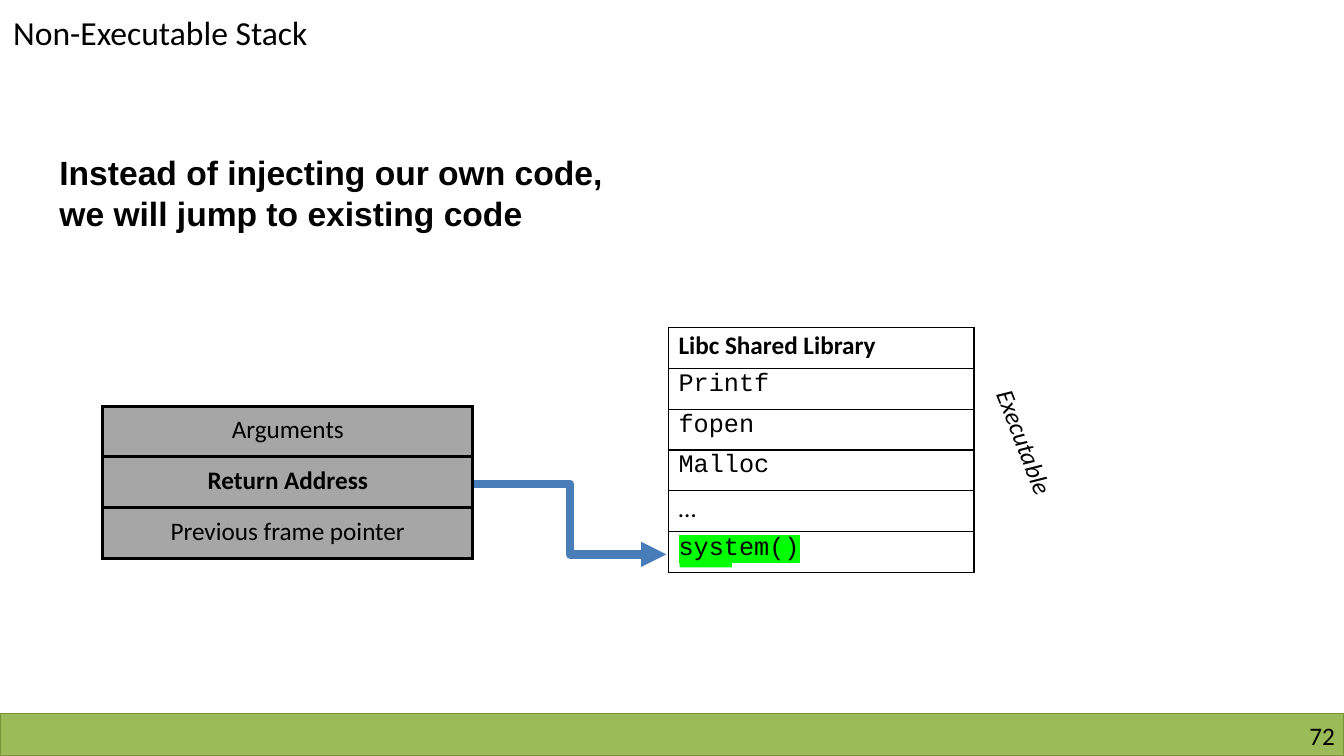
from lxml import etree
from pptx import Presentation
from pptx.dml.color import RGBColor as Rgb
from pptx.enum.shapes import MSO_CONNECTOR as Conn, MSO_SHAPE as Shape
from pptx.enum.text import MSO_ANCHOR as Anchor, PP_ALIGN as Align
from pptx.oxml.ns import qn
from pptx.util import Inches, Pt

HUES = {
    "ink": "000000", "gray": "A6A6A6", "blue": "497DBA", "lime": "00FF00",
    "green": "9BBB59", "edge": "77933C",
}


def hue(name):
    """Return the named colour."""
    return Rgb.from_string(HUES[name])


def place(box):
    """Turn a box in inches into lengths."""
    return [Inches(n) for n in box]


def write(frame, text, size=18, font="Calibri", bold=False, slant=False,
          align=Align.LEFT, mark=None):
    """Fill a text frame with one formatted run."""
    para = frame.paragraphs[0]
    para.alignment = align
    run = para.add_run()
    run.text = text
    face = run.font
    face.size, face.name, face.bold, face.italic = Pt(size), font, bold, slant
    face.color.rgb = hue("ink")
    if mark:
        glow = etree.Element(qn("a:highlight"))
        etree.SubElement(glow, qn("a:srgbClr"), val=HUES[mark])
        run._r.rPr.find(qn("a:latin")).addprevious(glow)


def pad(item, left=0, top=0):
    """Set the inner margins of a cell or text frame."""
    item.margin_left, item.margin_top = Inches(left), Inches(top)
    item.margin_right = item.margin_bottom = 0


def label(slide, box, text, turn=0, left=0, top=0, **form):
    """Place a wrapped text box."""
    area = slide.shapes.add_textbox(*place(box))
    area.rotation = turn
    frame = area.text_frame
    frame.word_wrap = True
    pad(frame, left, top)
    write(frame, text, **form)


def block(slide, box, fill, line=None):
    """Draw a filled rectangle."""
    rect = slide.shapes.add_shape(Shape.RECTANGLE, *place(box))
    rect.shadow.inherit = False
    rect.fill.solid()
    rect.fill.fore_color.rgb = hue(fill)
    if line:
        rect.line.color.rgb = hue(line)
        rect.line.width = Pt(1)
    else:
        rect.line.fill.background()


def rule(cell, wide):
    """Draw all four borders of a cell."""
    props = cell._tc.get_or_add_tcPr()
    for side in ("lnL", "lnR", "lnT", "lnB"):
        line = etree.SubElement(props, qn("a:" + side), w=str(Pt(wide)))
        fill = etree.SubElement(line, qn("a:solidFill"))
        etree.SubElement(fill, qn("a:srgbClr"), val=HUES["ink"])


def stack(slide, box, rows, wide, left=0, fill=None):
    """Build a one-column table with equal rows of (text, top, format)."""
    table = slide.shapes.add_table(len(rows), 1, *place(box)).table
    table.first_row = table.horz_banding = False
    for i, (text, top, form) in enumerate(rows):
        table.rows[i].height = Inches(box[3] / len(rows))
        cell = table.cell(i, 0)
        pad(cell, left, top)
        write(cell.text_frame, text, **form)
        rule(cell, wide)
        if fill:
            cell.fill.solid()
            cell.fill.fore_color.rgb = hue(fill)
        else:
            cell.fill.background()


def head(slide, box, text):
    """Place the slide title."""
    title = slide.shapes.title
    title.left, title.top, title.width, title.height = place(box)
    frame = title.text_frame
    frame.vertical_anchor = Anchor.TOP
    pad(frame, 0.01, 0.01)
    write(frame, text, size=24)


def foot(slide, box, number):
    """Draw the footer band and page number."""
    x, y, w, h = box
    block(slide, box, "green", "edge")
    label(slide, (x + w - 3.16, y + 0.07, 3.07, 0.3), number,
          align=Align.RIGHT)


def frames(slide, box):
    """Draw the stack frame table."""
    mid = {"align": Align.CENTER}
    rows = [("Arguments", 0.08, mid),
            ("Return Address", 0.09, {**mid, "bold": True}),
            ("Previous frame pointer", 0.09, mid)]
    stack(slide, box, rows, 2.5, fill="gray")


def library(slide, box):
    """Draw the library table and its side note."""
    x, y, w, h = box
    code = {"font": "Courier New"}
    names = [(name, 0.02, code) for name in ("Printf", "fopen", "Malloc")]
    rows = [("Libc Shared Library", 0.03, {"bold": True}), *names,
            ("…", 0.03, {}), ("system()", 0.03, {**code, "mark": "lime"})]
    block(slide, (x + 0.11, y + 2.07, 0.52, 0.31), "lime")
    stack(slide, box, rows, 1, left=0.1)
    label(slide, (x + w - 0.19, y + 1.01, 1.45, 0.4), "Executable",
          turn=68.9, left=0.1, top=0.05, slant=True)


def jump(slide, box):
    """Draw an elbow arrow from the top left to the bottom right of a box."""
    x, y, w, h = box
    arrow = slide.shapes.add_connector(Conn.ELBOW, *place((x, y, x + w, y + h)))
    arrow.line.color.rgb = hue("blue")
    arrow.line.width = Pt(6)
    line = arrow.line._ln
    etree.SubElement(line, qn("a:round"))
    etree.SubElement(line, qn("a:tailEnd"), type="triangle")
    etree.SubElement(arrow._element.spPr, qn("a:effectLst"))


def main():
    """Build and save the slide."""
    deck = Presentation()
    deck.slide_width, deck.slide_height = Inches(13.33), Inches(7.5)
    slide = deck.slides.add_slide(deck.slide_layouts[5])
    foot(slide, (0, 7.08, 13.33, 0.42), "72")
    head(slide, (0.12, 0.11, 5.92, 0.43), "Non-Executable Stack")
    label(slide, (0.58, 1.5, 5.5, 0.83),
          "Instead of injecting our own code, we will jump to existing code",
          left=0.01, top=0.01, size=24, font="Arial", bold=True)
    frames(slide, (1.02, 4.03, 3.67, 1.51))
    jump(slide, (4.7, 4.8, 1.91, 0.7))
    library(slide, (6.63, 3.25, 3.03, 2.43))
    deck.save("out.pptx")


if __name__ == "__main__":
    main()
